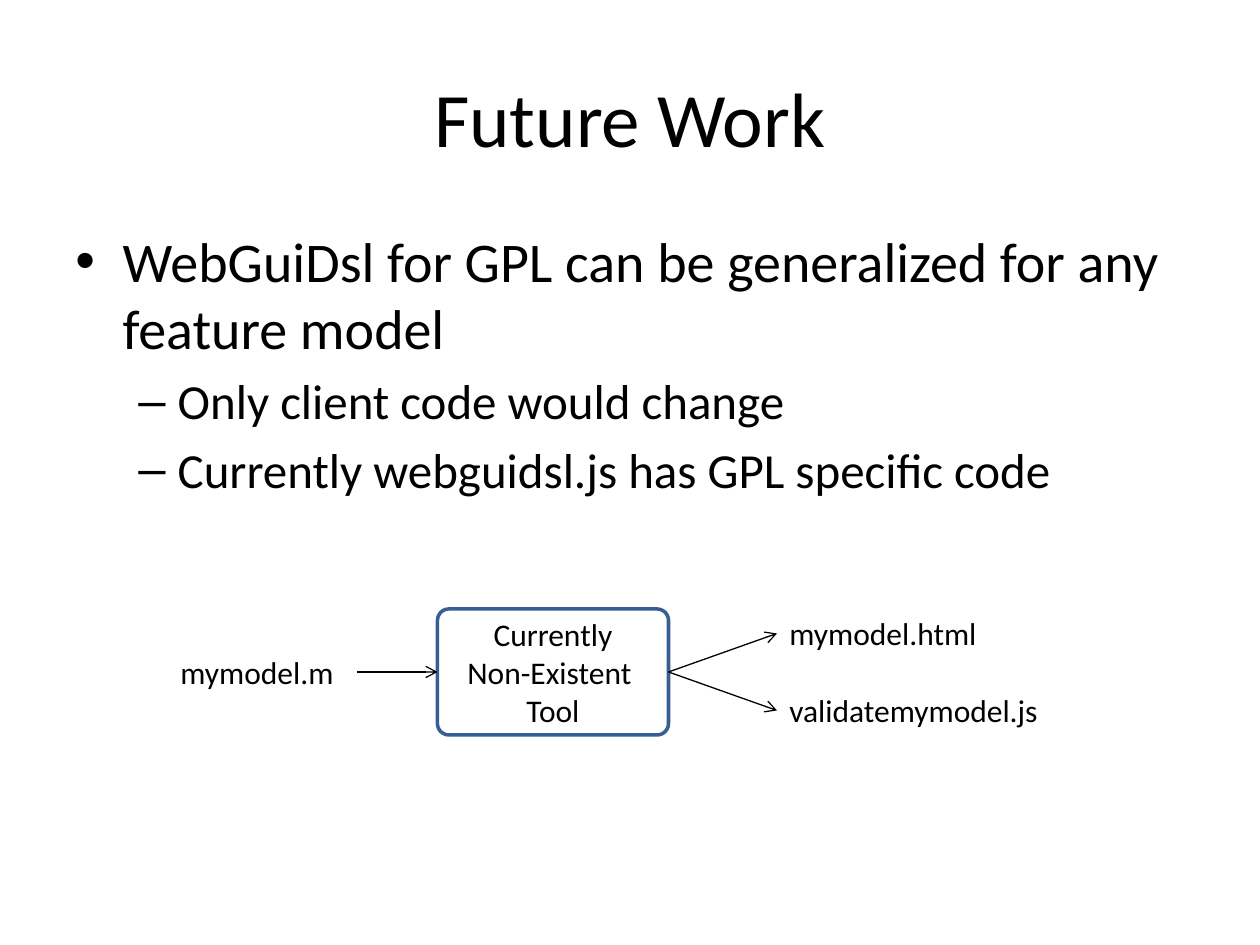
from lxml import etree
from pptx import Presentation
from pptx import util as u
from pptx.dml.color import RGBColor
from pptx.enum import shapes, text
from pptx.oxml.ns import qn

BLACK = RGBColor(0x00, 0x00, 0x00)
WHITE = RGBColor(0xFF, 0xFF, 0xFF)
BLUE = RGBColor(0x37, 0x60, 0x92)
FONT = "Calibri"
LABEL_SIZE = 18
LABEL_HEIGHT = 29
LEFT_SITE, RIGHT_SITE = 1, 3


def place(shape, left, top, width, height):
    """Set the position and size of a shape in points."""
    shape.left, shape.top = u.Pt(left), u.Pt(top)
    shape.width, shape.height = u.Pt(width), u.Pt(height)


def write(paragraph, words, size, align=text.PP_ALIGN.LEFT):
    """Add one formatted run to a paragraph."""
    paragraph.alignment = align
    run = paragraph.add_run()
    run.text = words
    run.font.name = FONT
    run.font.size = u.Pt(size)
    run.font.color.rgb = BLACK


def next_paragraph(frame, index):
    """Return the first paragraph of a frame, or a new one after it."""
    return frame.paragraphs[0] if index == 0 else frame.add_paragraph()


def add_title(slide, words):
    """Place and fill the title placeholder."""
    title = slide.shapes.title
    place(title, 36, 21.6, 648, 90)
    title.text_frame.vertical_anchor = text.MSO_ANCHOR.MIDDLE
    write(title.text_frame.paragraphs[0], words, 44, text.PP_ALIGN.CENTER)


def set_bullet(paragraph, mark, margin, hang):
    """Give a paragraph a hanging bullet."""
    properties = paragraph._p.get_or_add_pPr()
    properties.set("marL", str(u.Pt(margin)))
    properties.set("indent", str(-u.Pt(hang)))
    etree.SubElement(properties, qn("a:buFont"), typeface="Arial")
    etree.SubElement(properties, qn("a:buChar"), char=mark)


def add_points(slide, points):
    """Add the bulleted list of (level, words) points."""
    styles = [("•", 32, 27, 27), ("–", 28, 58.5, 22.5)]
    frame = slide.shapes.add_textbox(u.Pt(36), u.Pt(126), u.Pt(648), u.Pt(356.4)).text_frame
    frame.word_wrap = True
    for index, (level, words) in enumerate(points):
        mark, size, margin, hang = styles[level]
        paragraph = next_paragraph(frame, index)
        paragraph.level = level
        paragraph.space_before = u.Pt(0.2 * size)
        set_bullet(paragraph, mark, margin, hang)
        write(paragraph, words, size)


def add_tool(slide, lines):
    """Add the rounded box that stands for the tool."""
    tool = slide.shapes.add_shape(
        shapes.MSO_SHAPE.ROUNDED_RECTANGLE, u.Pt(250), u.Pt(348), u.Pt(132), u.Pt(72))
    tool.adjustments[0] = 0.09
    tool.shadow.inherit = False
    tool.fill.solid()
    tool.fill.fore_color.rgb = WHITE
    tool.line.color.rgb = BLUE
    tool.line.width = u.Pt(2)
    frame = tool.text_frame
    frame.margin_top = frame.margin_bottom = 0
    frame.vertical_anchor = text.MSO_ANCHOR.MIDDLE
    for index, words in enumerate(lines):
        write(next_paragraph(frame, index), words, LABEL_SIZE, text.PP_ALIGN.CENTER)
    return tool


def add_file(slide, words, left, middle, width):
    """Add a file name centred vertically on a height."""
    label = slide.shapes.add_textbox(
        u.Pt(left), u.Pt(middle - LABEL_HEIGHT / 2), u.Pt(width), u.Pt(LABEL_HEIGHT))
    label.text_frame.word_wrap = True
    write(label.text_frame.paragraphs[0], words, LABEL_SIZE)
    return label


def add_arrow(slide, source, target):
    """Connect the right side of source to the left side of target."""
    arrow = slide.shapes.add_connector(shapes.MSO_CONNECTOR.STRAIGHT, 0, 0, 0, 0)
    arrow.begin_connect(source, RIGHT_SITE)
    arrow.end_connect(target, LEFT_SITE)
    arrow.line.color.rgb = BLACK
    arrow.line.width = u.Pt(0.75)
    etree.SubElement(arrow.line._get_or_add_ln(), qn("a:tailEnd"), type="arrow")
    etree.SubElement(arrow._element.spPr, qn("a:effectLst"))


def main():
    """Build the slide and save it."""
    deck = Presentation()
    deck.slide_width, deck.slide_height = u.Pt(720), u.Pt(540)
    slide = deck.slides.add_slide(deck.slide_layouts[5])
    add_title(slide, "Future Work")
    add_points(slide, [
        (0, "WebGuiDsl for GPL can be generalized for any feature model"),
        (1, "Only client code would change"),
        (1, "Currently webguidsl.js has GPL specific code"),
    ])
    tool = add_tool(slide, ["Currently", "Non-Existent ", "Tool"])
    model = add_file(slide, "mymodel.m", 96, 384, 108)
    add_arrow(slide, model, tool)
    for words, middle, width in [("mymodel.html", 362, 126), ("validatemymodel.js", 406, 180)]:
        add_arrow(slide, tool, add_file(slide, words, 444, middle, width))
    deck.save("out.pptx")


if __name__ == "__main__":
    main()
